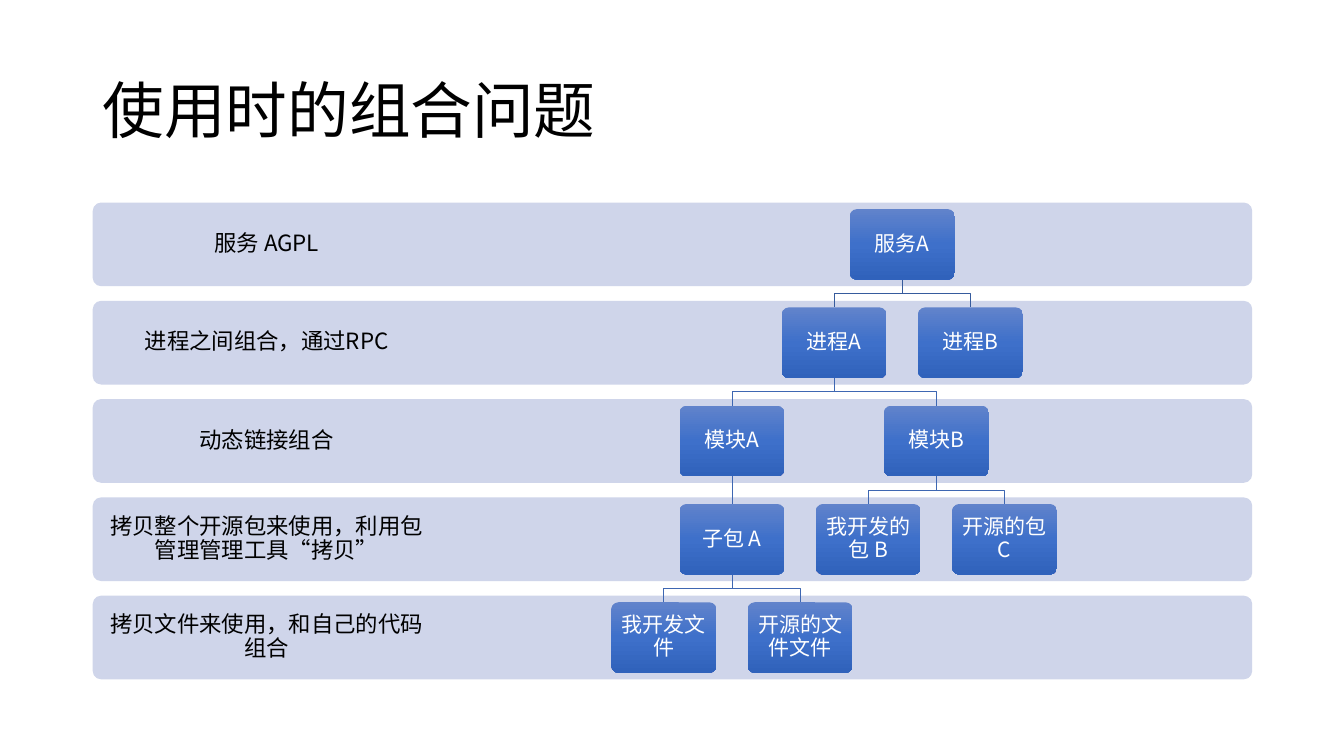
from lxml import etree
from pptx import Presentation
from pptx.dml.color import RGBColor
from pptx.enum.shapes import MSO_CONNECTOR, MSO_SHAPE
from pptx.enum.text import MSO_ANCHOR, PP_ALIGN
from pptx.oxml.ns import qn
from pptx.util import Inches, Pt

# Content
TITLE = "使用时的组合问题"
LEVELS = ["服务 AGPL", "进程之间组合，通过RPC", "动态链接组合",
          "拷贝整个开源包来使用，利用包管理管理工具“拷贝”", "拷贝文件来使用，和自己的代码组合"]
# name: (level, column in half steps from the root, parent)
NODES = {
    "服务A": (0, 0, None),
    "进程A": (1, -1, "服务A"),
    "进程B": (1, 1, "服务A"),
    "模块A": (2, -2.5, "进程A"),
    "模块B": (2, 0.5, "进程A"),
    "子包 A": (3, -2.5, "模块A"),
    "我开发的包 B": (3, -0.5, "模块B"),
    "开源的包C": (3, 1.5, "模块B"),
    "我开发文件": (4, -3.5, "子包 A"),
    "开源的文件文件": (4, -1.5, "子包 A"),
}

# Style and grid, in inches
FONT = "Noto Sans CJK SC"
BAND, BLACK, WHITE = "CFD5EA", "000000", "FFFFFF"
GRADIENT = [(0, "6183CB"), (50, "3E70CA"), (100, "3062BB")]
ROOT_LINK, LINK = "365B9D", "3E67B2"
LEFT, WIDTH = 0.92, 11.5
TOP, BOTTOM, BAND_H = 2.01, 6.74, 0.83
PITCH = (BOTTOM - TOP - BAND_H) / (len(LEVELS) - 1)
LABEL_W = WIDTH * 0.3
NODE_W, NODE_H = 1.04, 0.7
HALF_STEP = NODE_W * 0.65
ROOT_X = 8.95

prs = Presentation()
prs.slide_width, prs.slide_height = Inches(13.33), Inches(7.5)
slide = prs.slides.add_slide(prs.slide_layouts[6])
shapes = slide.shapes


def color(value):
    return RGBColor.from_string(value)


def write(shape, text, size, ink, align, inset_x, inset_y):
    frame = shape.text_frame
    frame.word_wrap = True
    frame.vertical_anchor = MSO_ANCHOR.MIDDLE
    frame.margin_left = frame.margin_right = Inches(inset_x)
    frame.margin_top = frame.margin_bottom = Inches(inset_y)
    paragraph = frame.paragraphs[0]
    paragraph.alignment, paragraph.line_spacing = align, 0.9
    run = paragraph.add_run()
    run.text = text
    run.font.size, run.font.name = Pt(size), FONT
    run.font.color.rgb = color(ink)
    etree.SubElement(run.font._element, qn("a:ea"), typeface=FONT)


def text_box(x, y, w, h, *style):
    write(shapes.add_textbox(*map(Inches, (x, y, w, h))), *style)


def rounded(x, y, w, h):
    shape = shapes.add_shape(MSO_SHAPE.ROUNDED_RECTANGLE, *map(Inches, (x, y, w, h)))
    shape.adjustments[0] = 0.1
    shape.shadow.inherit = False
    shape.line.fill.background()
    return shape


def fill_gradient(shape):
    shape.fill.gradient()
    shape.fill.gradient_angle = 270  # python-pptx counts counter-clockwise: top to bottom
    stops = shape._element.spPr.find(qn("a:gradFill")).find(qn("a:gsLst"))
    for stop in list(stops):
        stops.remove(stop)
    for share, value in GRADIENT:
        stop = etree.SubElement(stops, qn("a:gs"), pos=str(share * 1000))
        etree.SubElement(stop, qn("a:srgbClr"), val=value)


def node_place(name):
    """Centre x and top y of a node."""
    level, column, _ = NODES[name]
    return (ROOT_X + column * HALF_STEP,
            TOP + level * PITCH + (BAND_H - NODE_H) / 2)


def link(parent, child):
    (x1, y1), (x2, y2) = node_place(parent), node_place(child)
    y1 += NODE_H
    middle = (y1 + y2) / 2
    if x1 == x2:
        line = shapes.add_connector(MSO_CONNECTOR.STRAIGHT, *map(Inches, (x1, y1, x2, y2)))
        etree.SubElement(line._element.spPr, qn("a:effectLst"))
    else:
        path = shapes.build_freeform(Inches(x1), Inches(y1))
        path.add_line_segments([(Inches(x), Inches(y)) for x, y in
                                ((x1, middle), (x2, middle), (x2, y2))], close=False)
        line = path.convert_to_shape()
        line.fill.background()
        line.shadow.inherit = False
    line.line.width = Pt(0.5)
    line.line.color.rgb = color(LINK if NODES[parent][2] else ROOT_LINK)


# Title
text_box(LEFT, 0.4, WIDTH, 1.45, TITLE, 44, BLACK, PP_ALIGN.LEFT, 0.1, 0.05)

# Level bands with their labels
for row, label in enumerate(LEVELS):
    y = TOP + row * PITCH
    band = rounded(LEFT, y, WIDTH, BAND_H)
    band.fill.solid()
    band.fill.fore_color.rgb = color(BAND)
    text_box(LEFT, y, LABEL_W, BAND_H, label, 16, BLACK, PP_ALIGN.CENTER, 0.12, 0.12)

# Tree: links first, nodes above them
for name, (_, _, parent) in NODES.items():
    if parent:
        link(parent, name)
for name in NODES:
    x, y = node_place(name)
    node = rounded(x - NODE_W / 2, y, NODE_W, NODE_H)
    fill_gradient(node)
    write(node, name, 15, WHITE, PP_ALIGN.CENTER, 0.06, 0.06)

prs.save("out.pptx")
